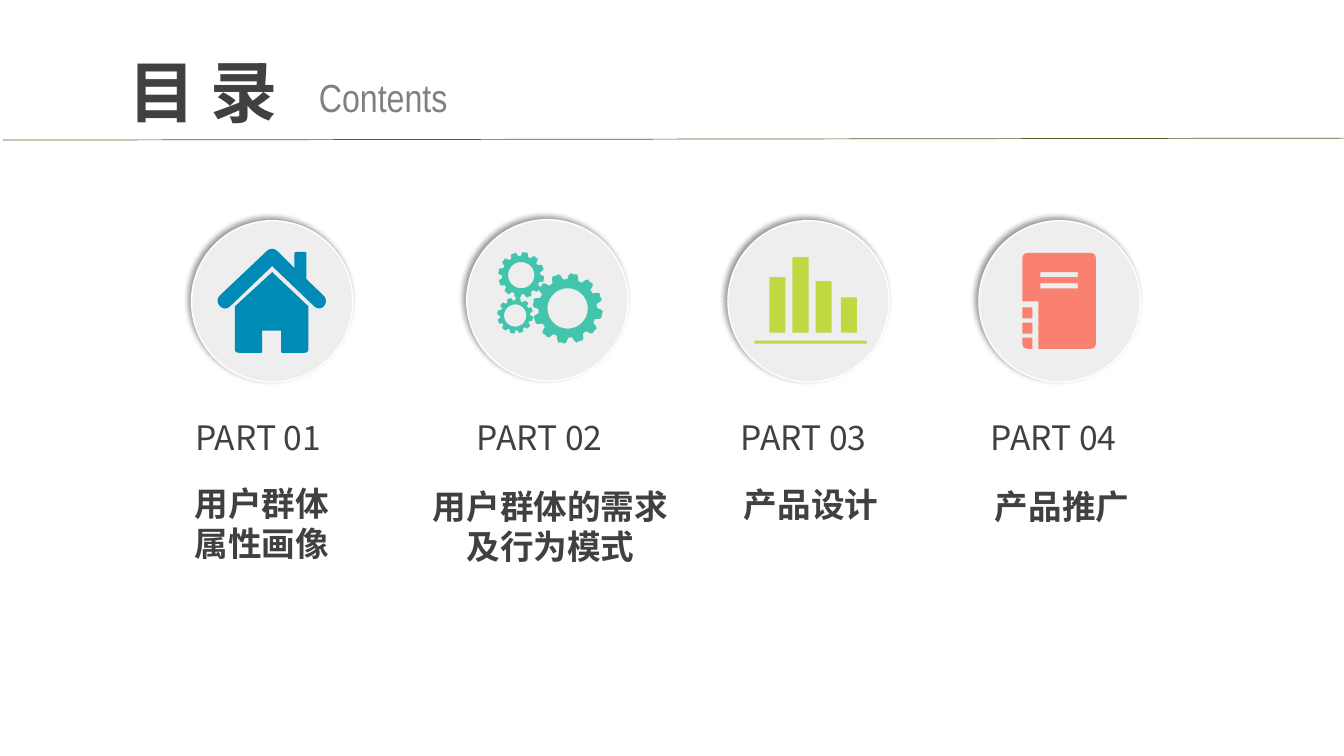
from dataclasses import dataclass
from math import cos, hypot, radians, sin

from lxml import etree
from pptx import Presentation
from pptx.dml.color import RGBColor
from pptx.enum.shapes import MSO_CONNECTOR, MSO_SHAPE
from pptx.enum.text import MSO_AUTO_SIZE, PP_ALIGN
from pptx.oxml import parse_xml
from pptx.oxml.ns import nsdecls, qn
from pptx.util import Inches, Pt

OVAL, RECT, ROUND_RECT = MSO_SHAPE.OVAL, MSO_SHAPE.RECTANGLE, MSO_SHAPE.ROUNDED_RECTANGLE
STRAIGHT = MSO_CONNECTOR.STRAIGHT
LEFT, CENTER = PP_ALIGN.LEFT, PP_ALIGN.CENTER
FIT_SHAPE = MSO_AUTO_SIZE.SHAPE_TO_FIT_TEXT


@dataclass(frozen=True)
class Theme:
    ink: str = "404040"
    muted: str = "808080"
    rule: str = "4F6228"
    disc: str = "EEEEEE"
    rim: str = "FFFFFF"
    blue: str = "008BB6"
    teal: str = "43C5AD"
    lime: str = "C1D842"
    coral: str = "FA8170"
    cjk: str = "Noto Sans CJK SC"
    label: str = "Noto Sans CJK JP"
    narrow: str = "Arial Narrow"
    title_size: int = 48
    subtitle_size: int = 28
    body_size: int = 24


def rounded(corners):
    """Turn (x, y[, radius]) corners into a dense outline."""
    points = []
    for i, (x, y, *radius) in enumerate(corners):
        if not radius:
            points.append((x, y))
            continue
        ends = []
        for nx, ny, *_ in (corners[i - 1], corners[(i + 1) % len(corners)]):
            t = radius[0] / hypot(nx - x, ny - y)
            ends.append((x + (nx - x) * t, y + (ny - y) * t))
        (ax, ay), (bx, by) = ends
        for step in range(9):
            t = step / 8
            a, m, b = (1 - t) ** 2, 2 * t * (1 - t), t ** 2
            points.append((a * ax + m * x + b * bx, a * ay + m * y + b * by))
    return points


def box(x, y, w, h):
    return [(x, y), (x + w, y), (x + w, y + h), (x, y + h)]


def polar(cx, cy, r, degrees):
    return cx + r * cos(radians(degrees)), cy + r * sin(radians(degrees))


def gear(cx, cy, r, hole, teeth=12, phase=10):
    """Return the toothed outline and the round hole of a gear."""
    profile = [(-11, 0.83), (-8, 0.95), (-5, 1), (0, 0.98), (5, 1), (8, 0.95), (11, 0.83)]
    rim = [polar(cx, cy, r * k, phase + 360 / teeth * i + a)
           for i in range(teeth) for a, k in profile]
    return rim, [polar(cx, cy, hole, a) for a in range(0, 360, 6)]


class Deck:
    def __init__(self, prs, theme):
        self.theme = theme
        self.s = prs.slides.add_slide(prs.slide_layouts[6])
        self.shapes = self.s.shapes

    def paint(self, sp, color):
        sp.shadow.inherit = False
        sp.fill.solid()
        sp.fill.fore_color.rgb = RGBColor.from_string(color)
        sp.line.fill.background()
        return sp

    def shape(self, kind, x, y, w, h, color):
        sp = self.shapes.add_shape(kind, Inches(x), Inches(y), Inches(w), Inches(h))
        return self.paint(sp, color)

    def outline(self, color, *contours):
        """Draw closed contours as one shape; inner contours become holes."""
        builder = None
        for contour in contours:
            points = [(Inches(x), Inches(y)) for x, y in contour]
            if builder is None:
                builder = self.shapes.build_freeform(*points[0])
            else:
                builder.move_to(*points[0])
            builder.add_line_segments(points[1:], close=True)
        return self.paint(builder.convert_to_shape(), color)

    def badge(self, x, y, draw_icon):
        """Group a shadowed disc with the icon drawn on it."""
        self.shapes = self.s.shapes.add_group_shape().shapes
        sp = self.shape(OVAL, x, y, 1.6, 1.6, self.theme.disc)
        sp.line.color.rgb = RGBColor.from_string(self.theme.rim)
        sp.line.width = Pt(1)
        effects = sp._element.spPr.find(qn("a:effectLst"))
        effects.append(parse_xml(
            f'<a:outerShdw {nsdecls("a")} blurRad="{Pt(4)}" dist="{Pt(3)}" dir="13500000" '
            'algn="br" rotWithShape="0"><a:srgbClr val="000000"><a:alpha val="40000"/>'
            '</a:srgbClr></a:outerShdw>'))
        draw_icon(self)
        self.shapes = self.s.shapes

    def text(self, x, y, w, h, lines, size, font, color, bold=False, align=CENTER, spacing=None):
        tb = self.shapes.add_textbox(Inches(x), Inches(y), Inches(w), Inches(h))
        tf = tb.text_frame
        tf.word_wrap = False
        tf.auto_size = FIT_SHAPE
        for i, line in enumerate(lines):
            p = tf.add_paragraph() if i else tf.paragraphs[0]
            p.alignment = align
            if spacing:
                p.line_spacing = Pt(size * spacing)
            r = p.add_run()
            r.text = line
            r.font.size = Pt(size)
            r.font.bold = bold
            r.font.color.rgb = RGBColor.from_string(color)
            r.font.name = font
            etree.SubElement(r._r.rPr, qn("a:ea")).set("typeface", font)

    def line(self, x1, y1, x2, y2, color, width):
        cn = self.shapes.add_connector(STRAIGHT, Inches(x1), Inches(y1), Inches(x2), Inches(y2))
        cn.line.color.rgb = RGBColor.from_string(color)
        cn.line.width = Pt(width)
        etree.SubElement(cn._element.spPr, qn("a:effectLst"))


def house(deck):
    blue = deck.theme.blue
    deck.outline(blue, rounded([
        (2.33, 3.04), (2.33, 3.5, 0.04), (2.6, 3.5, 0.01), (2.6, 3.28), (2.79, 3.28),
        (2.79, 3.5, 0.01), (3.06, 3.5, 0.04), (3.06, 3.04), (2.7, 2.7)]))
    deck.outline(blue, rounded([
        (2.7, 2.44, 0.08), (2.92, 2.66), (2.92, 2.5, 0.02), (3.04, 2.5, 0.02), (3.04, 2.77),
        (3.26, 2.98, 0.08), (3.17, 3.09, 0.08), (2.7, 2.64), (2.23, 3.09, 0.08),
        (2.13, 2.98, 0.08)]))


def gears(deck):
    for cx, cy, r, hole in [(5.63, 3.06, 0.35, 0.2), (5.17, 2.73, 0.23, 0.13),
                            (5.11, 3.13, 0.18, 0.11)]:
        deck.outline(deck.theme.teal, *gear(cx, cy, r, hole))


def bars(deck):
    floor, lime = 3.3, deck.theme.lime
    for x, top in [(7.63, 2.75), (7.86, 2.55), (8.09, 2.79), (8.34, 2.95)]:
        deck.shape(RECT, x, top, 0.16, floor - top, lime)
    deck.shape(ROUND_RECT, 7.48, 3.38, 1.12, 0.03, lime).adjustments[0] = 0.5


def notebook(deck):
    coral = deck.theme.coral
    cover = rounded([(10.14, 2.51, 0.06), (10.87, 2.51, 0.06), (10.87, 3.46, 0.06),
                     (10.3, 3.46), (10.3, 2.99), (10.14, 2.99)])
    deck.outline(coral, cover, *[box(10.32, y, 0.37, 0.05) for y in (2.7, 2.81)])
    deck.outline(coral, rounded([(10.14, 3.35), (10.24, 3.35), (10.24, 3.46),
                                 (10.14, 3.46, 0.06)]))
    for y in (3.05, 3.2):
        deck.shape(RECT, 10.14, y, 0.1, 0.11, coral)


def main():
    prs = Presentation()
    prs.slide_width, prs.slide_height = Inches(13.33), Inches(7.5)
    theme = Theme()
    deck = Deck(prs, theme)

    deck.text(1.14, 0.45, 1.75, 0.91, ["目 录"], theme.title_size, theme.cjk, theme.ink,
              bold=True, spacing=1.2)
    deck.text(2.97, 0.68, 1.66, 0.57, ["Contents"], theme.subtitle_size, theme.narrow,
              theme.muted)
    deck.line(0.03, 1.39, 13.83, 1.37, theme.rule, 0.5)

    # badge x, badge y, icon, label x, caption (x, y, width), caption lines
    parts = [
        (1.9, 2.19, house, 1.84, (1.82, 4.74, 1.55), ["用户群体", "属性画像"]),
        (4.63, 2.18, gears, 4.63, (4.18, 4.77, 2.56), ["用户群体的需求", "及行为模式"]),
        (7.22, 2.19, bars, 7.25, (7.27, 4.75, 1.55), ["产品设计"]),
        (9.71, 2.19, notebook, 9.73, (9.76, 4.77, 1.55), ["产品推广"]),
    ]
    for number, (x, y, icon, label_x, caption, lines) in enumerate(parts, 1):
        deck.badge(x, y, icon)
        deck.text(label_x, 4.09, 1.52 if number == 1 else 1.58, 0.5, [f"PART {number:02}"],
                  theme.body_size, theme.label, theme.ink, align=LEFT, spacing=1.2)
        deck.text(*caption, 0.1 + 0.4 * len(lines), lines, theme.body_size, theme.cjk,
                  theme.ink, bold=True, spacing=1.2)

    prs.save("out.pptx")


if __name__ == "__main__":
    main()
